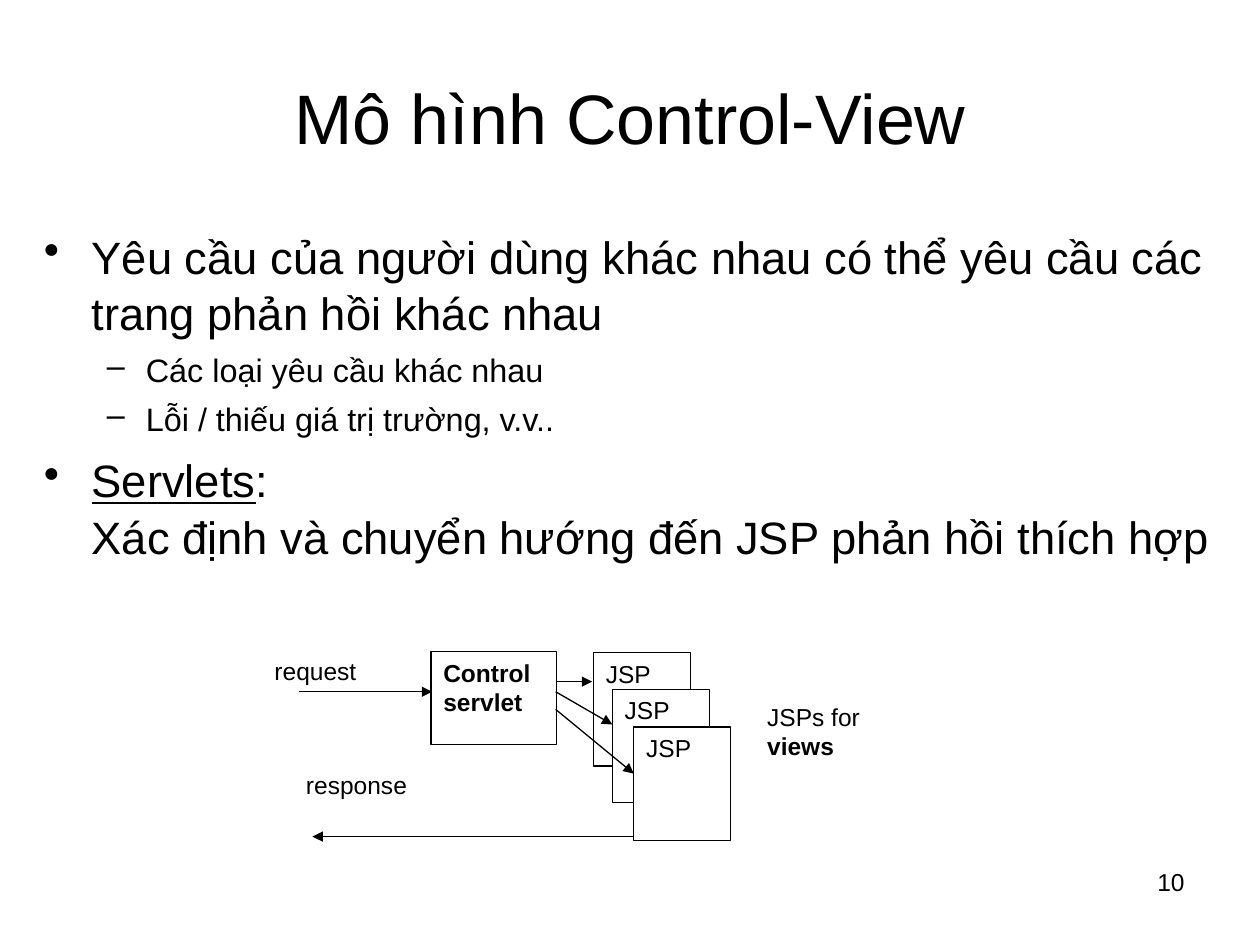
from dataclasses import dataclass

from lxml import etree
from pptx import Presentation
from pptx.dml.color import RGBColor
from pptx.enum import shapes, text
from pptx.oxml.ns import qn
from pptx.util import Inches, Pt


@dataclass(frozen=True)
class Theme:
    font: str = "Arial"
    ink: RGBColor = RGBColor(0, 0, 0)
    paper: RGBColor = RGBColor(255, 255, 255)
    title: float = 40
    body: tuple = (25.9, 18.5)
    label: float = 14
    line: float = 0.75


THEME = Theme()

# Per outline level: bullet, left margin, hanging indent, space before
LEVELS = (("•", 0.38, 0.38, 7), ("–", 0.81, 0.31, 5))


def style(paragraph, size, bold=None):
    font = paragraph.font
    font.name, font.size, font.bold = THEME.font, Pt(size), bold
    font.color.rgb = THEME.ink


def add_text(slide, box, content, size=THEME.label, align=text.PP_ALIGN.LEFT,
             anchor=text.MSO_ANCHOR.TOP):
    shape = slide.shapes.add_textbox(*map(Inches, box))
    frame = shape.text_frame
    frame.word_wrap = True
    frame.vertical_anchor = anchor
    paragraph = frame.paragraphs[0]
    paragraph.text = content
    paragraph.alignment = align
    style(paragraph, size)
    return paragraph


def add_bullet(paragraph, level):
    bullet, margin, hanging, space = LEVELS[level]
    paragraph.level = level
    paragraph.space_before = Pt(space)
    paragraph.line_spacing = 1.04
    style(paragraph, THEME.body[level])
    properties = paragraph._p.get_or_add_pPr()
    properties.set("marL", str(Inches(margin)))
    properties.set("indent", str(-Inches(hanging)))
    character = etree.Element(qn("a:buChar"), char=bullet)
    # Bullets must precede the default run properties
    properties.find(qn("a:defRPr")).addprevious(character)


def add_outline(slide, box, items):
    frame = slide.shapes.add_textbox(*map(Inches, box)).text_frame
    frame.word_wrap = True
    for index, (level, content) in enumerate(items):
        paragraph = frame.add_paragraph() if index else frame.paragraphs[0]
        paragraph.text = content
        add_bullet(paragraph, level)
    return frame


def add_box(slide, box, content, bold=None):
    shape = slide.shapes.add_shape(shapes.MSO_SHAPE.RECTANGLE, *map(Inches, box))
    shape.shadow.inherit = False
    shape.fill.solid()
    shape.fill.fore_color.rgb = THEME.paper
    shape.line.color.rgb = THEME.ink
    shape.line.width = Pt(THEME.line)
    frame = shape.text_frame
    frame.word_wrap = True
    frame.vertical_anchor = text.MSO_ANCHOR.TOP
    paragraph = frame.paragraphs[0]
    paragraph.text = content
    paragraph.alignment = text.PP_ALIGN.LEFT
    style(paragraph, THEME.label, bold)


def add_arrow(slide, start, end):
    connector = slide.shapes.add_connector(
        shapes.MSO_CONNECTOR.STRAIGHT, *map(Inches, start + end))
    connector.line.color.rgb = THEME.ink
    connector.line.width = Pt(THEME.line)
    etree.SubElement(connector.line._get_or_add_ln(), qn("a:tailEnd"), type="triangle")
    etree.SubElement(connector._element.spPr, qn("a:effectLst"))


def add_diagram(slide):
    add_arrow(slide, (2.37, 5.49), (3.43, 5.49))
    add_text(slide, (2.08, 5.16, 1.19, 0.37), "request")
    add_box(slide, (3.42, 5.17, 1, 0.74), "Control servlet", bold=True)

    for left, top in ((4.71, 5.18), (4.86, 5.47), (5.03, 5.77)):
        add_box(slide, (left, top, 0.77, 0.9), "JSP")
    for start_y, end in ((5.41, (4.7, 5.41)), (5.49, (4.86, 5.75)), (5.63, (5.03, 6.14))):
        add_arrow(slide, (4.41, start_y), end)

    add_arrow(slide, (5.03, 6.64), (2.48, 6.64))
    add_text(slide, (2.33, 6.06, 1.29, 0.37), "response")
    views = add_text(slide, (5.99, 5.52, 1.35, 0.64), "JSPs for ").add_run()
    views.text = "views"
    views.font.bold = True


def main():
    presentation = Presentation()
    presentation.slide_width, presentation.slide_height = Inches(10), Inches(7.5)
    slide = presentation.slides.add_slide(presentation.slide_layouts[6])

    add_text(slide, (7.17, 6.83, 2.33, 0.52), "10", align=text.PP_ALIGN.RIGHT)
    add_text(slide, (0.5, 0.3, 9, 1.25), "Mô hình Control-View", THEME.title,
             text.PP_ALIGN.CENTER, text.MSO_ANCHOR.MIDDLE)
    outline = add_outline(slide, (0.25, 1.75, 9.5, 3.08), (
        (0, "Yêu cầu của người dùng khác nhau có thể yêu cầu các trang phản hồi khác nhau"),
        (1, "Các loại yêu cầu khác nhau"),
        (1, "Lỗi / thiếu giá trị trường, v.v.."),
        (0, "Servlets"),
    ))
    servlets = outline.paragraphs[-1]
    servlets.runs[0].font.underline = True
    servlets.add_run().text = ":"
    servlets.add_line_break()
    servlets.add_run().text = "Xác định và chuyển hướng đến JSP phản hồi thích hợp"
    add_diagram(slide)

    presentation.save("out.pptx")


if __name__ == "__main__":
    main()
